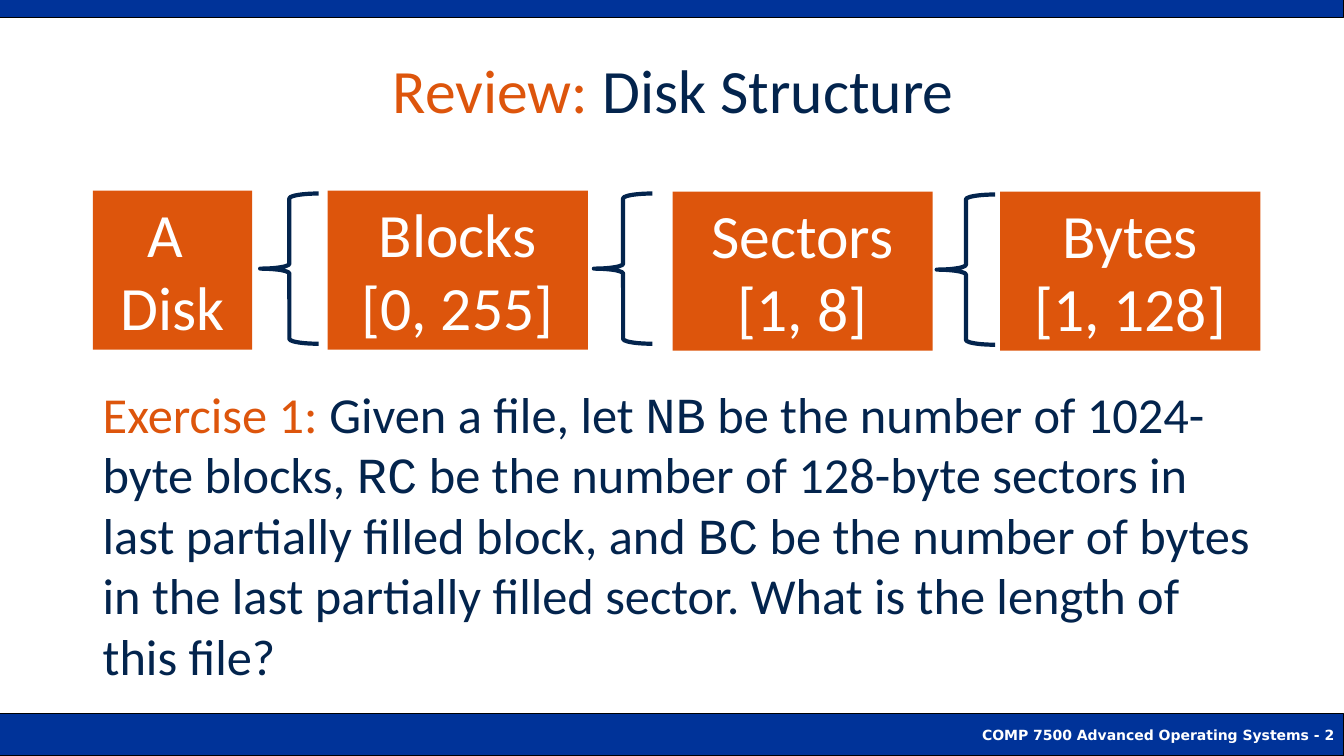
import pptx
import pptx.dml.color
import pptx.enum.shapes
import pptx.enum.text
import pptx.util

Inches = pptx.util.Inches
Align = pptx.enum.text.PP_ALIGN
Anchor = pptx.enum.text.MSO_ANCHOR
Preset = pptx.enum.shapes.MSO_SHAPE

COLORS = {
    "band": "003399",
    "edge": "000000",
    "orange": "DD550C",
    "navy": "03244D",
    "white": "FFFFFF",
}
LEVELS = [
    (0.92, 1.89, 1.58, ["A ", "Disk"]),
    (3.25, 1.89, 2.58, ["Blocks", "[0, 255]"]),
    (6.67, 1.9, 2.58, ["Sectors", "[1, 8]"]),
    (9.92, 1.9, 2.58, ["Bytes", "[1, 128]"]),
]
BRACES = [(2.58, 1.92), (5.89, 1.92), (9.29, 1.93)]
EXERCISE = [
    ("Given a file, let ", "Calibri"),
    ("NB", "Courier New"),
    (" be the number of 1024-byte blocks, ", "Calibri"),
    ("RC", "Courier New"),
    (" be the number of 128-byte sectors in last partially filled block, and ", "Calibri"),
    ("BC", "Courier New"),
    (" be the number of bytes in the last partially filled sector. "
     "What is the length of this file?", "Calibri"),
]


def rgb(name):
    """Return the named palette colour."""
    return pptx.dml.color.RGBColor.from_string(COLORS[name])


def add_span(para, text, size=44, font="Calibri", color="navy", bold=False):
    """Append formatted text to a paragraph."""
    span = para.add_run()
    span.text = text
    span.font.size = pptx.util.Pt(size)
    span.font.name = font
    span.font.bold = bold
    span.font.color.rgb = rgb(color)


def add_figure(page, preset, area, fill=None, line=None, width=0.75):
    """Draw a preset shape with the given fill and outline."""
    figure = page.shapes.add_shape(preset, *map(Inches, area))
    figure.shadow.inherit = False
    if fill:
        figure.fill.solid()
        figure.fill.fore_color.rgb = rgb(fill)
    else:
        figure.fill.background()
    if line:
        figure.line.color.rgb = rgb(line)
        figure.line.width = pptx.util.Pt(width)
    else:
        figure.line.fill.background()
    return figure


def add_text_area(page, area, anchor, align):
    """Add a wrapping text box and return its first paragraph."""
    frame = page.shapes.add_textbox(*map(Inches, area)).text_frame
    frame.word_wrap = True
    frame.vertical_anchor = anchor
    para = frame.paragraphs[0]
    para.alignment = align
    return para


def draw_bands(page, width, height):
    """Draw the top band and the footer band with the course name."""
    add_figure(page, Preset.RECTANGLE, (0, 0, width, 0.17), "band", "edge")
    depth = 0.42
    footer = add_figure(page, Preset.RECTANGLE, (0, height - depth, width, depth), "band", "edge")
    footer.text_frame.vertical_anchor = Anchor.MIDDLE
    para = footer.text_frame.paragraphs[0]
    para.alignment = Align.RIGHT
    add_span(para, "COMP 7500 Advanced Operating Systems - 2",
             size=10, font="DejaVu Sans", color="white", bold=True)


def draw_title(page, area):
    """Write the two-colour title."""
    para = add_text_area(page, area, Anchor.MIDDLE, Align.CENTER)
    add_span(para, "Review:", color="orange")
    add_span(para, " Disk Structure")


def draw_level(page, left, top, width, lines):
    """Draw one level of the disk hierarchy."""
    box = add_figure(page, Preset.RECTANGLE, (left, top, width, 1.58), "orange")
    frame = box.text_frame
    frame.word_wrap = True
    frame.vertical_anchor = Anchor.TOP
    for index, text in enumerate(lines):
        para = frame.add_paragraph() if index else frame.paragraphs[0]
        para.alignment = Align.CENTER
        properties = para._p.get_or_add_pPr()
        properties.set("marL", str(Inches(0.1)))
        properties.set("indent", str(Inches(-0.1)))
        add_span(para, text, color="white")


def draw_hierarchy(page):
    """Draw the disk levels and the braces between them."""
    for level in LEVELS:
        draw_level(page, *level)
    for left, top in BRACES:
        add_figure(page, Preset.LEFT_BRACE, (left, top, 0.58, 1.49), line="navy", width=3)


def draw_exercise(page, area):
    """Write the exercise with its variables in a fixed-width font."""
    para = add_text_area(page, area, Anchor.TOP, Align.LEFT)
    add_span(para, "Exercise 1: ", size=36, color="orange")
    for text, font in EXERCISE:
        add_span(para, text, size=36, font=font)


def main():
    """Build and save the deck."""
    deck = pptx.Presentation()
    width, height = 13.33, 7.5
    deck.slide_width, deck.slide_height = Inches(width), Inches(height)
    page = deck.slides.add_slide(deck.slide_layouts[6])
    draw_bands(page, width, height)
    draw_title(page, (0.62, 0.42, 12.12, 0.92))
    draw_exercise(page, (0.92, 3.75, 11.58, 3.1))
    draw_hierarchy(page)
    deck.save("out.pptx")


if __name__ == "__main__":
    main()
